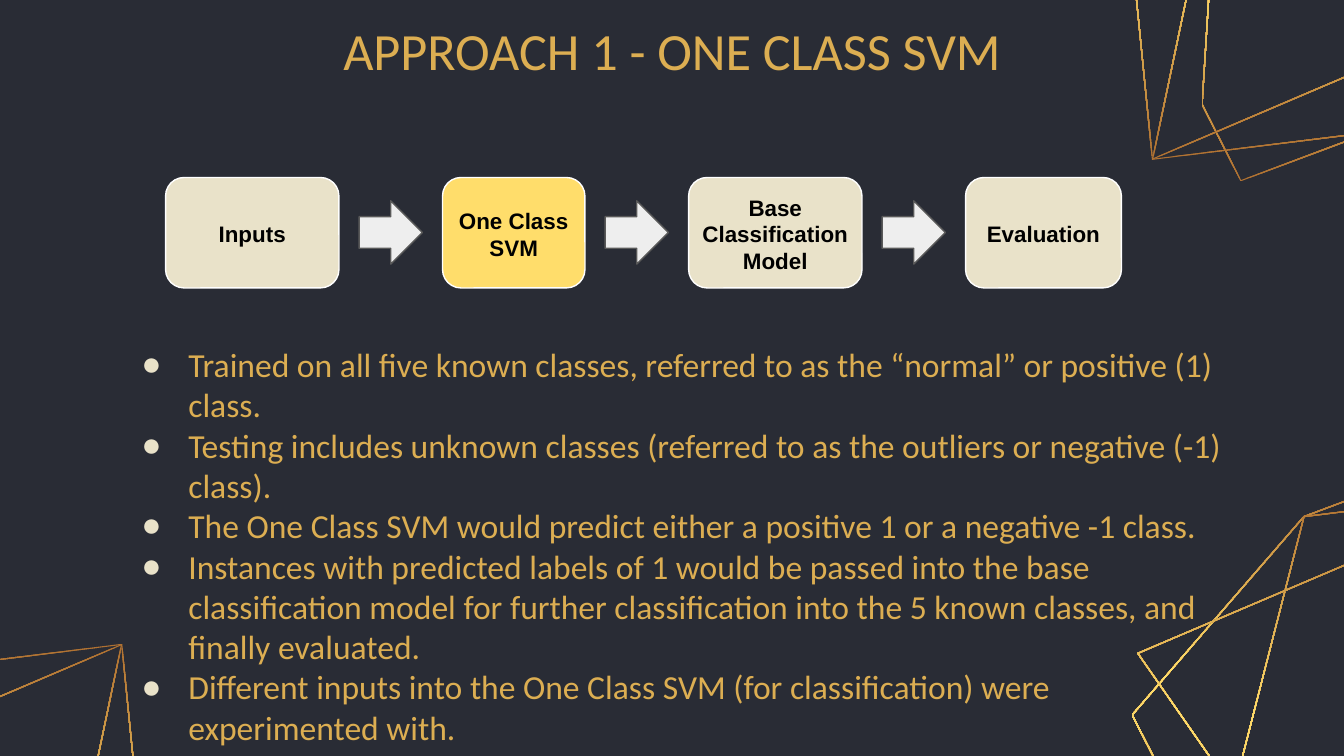
import copy
import math
from dataclasses import dataclass

import lxml.etree
import pptx
import pptx.dml.color
import pptx.enum.shapes
import pptx.enum.text
import pptx.oxml
import pptx.oxml.ns
import pptx.util

Pt = pptx.util.Pt
RGB = pptx.dml.color.RGBColor.from_string
qn = pptx.oxml.ns.qn
Shapes = pptx.enum.shapes.MSO_SHAPE
Align = pptx.enum.text.PP_ALIGN
Anchor = pptx.enum.text.MSO_ANCHOR
Point = tuple[float, float]


@dataclass(frozen=True)
class Theme:
    background: str = "292C35"
    gold: str = "DCAE52"
    yellow: str = "FFDD6B"
    bronze: str = "AF7132"
    cream: str = "E9E2C9"
    white: str = "FFFFFF"
    black: str = "000000"
    arrow: str = "EEEEEE"
    arrow_line: str = "595959"
    text_font: str = "Calibri"
    label_font: str = "Arial"
    title_size: float = 28
    body_size: float = 18
    label_size: float = 12
    line_width: float = 0.75
    facet_width: float = 0.6


@dataclass(frozen=True)
class Step:
    label: str
    width: float
    fill: str


@dataclass(frozen=True)
class Facet:
    corners: list[Point]


THEME = Theme()
INSET = 7.2


def inset_corners(corners: list[Point], distance: float) -> list[Point]:
    """Move every edge of a clockwise polygon inwards."""
    result = []
    for index, (x, y) in enumerate(corners):
        before = corners[index - 1]
        after = corners[(index + 1) % len(corners)]
        normals = []
        for (x1, y1), (x2, y2) in ((before, (x, y)), ((x, y), after)):
            length = math.hypot(x2 - x1, y2 - y1)
            normals.append(((y1 - y2) / length, (x2 - x1) / length))
        (ax, ay), (bx, by) = normals
        factor = distance / (1 + ax * bx + ay * by)
        result.append((x + (ax + bx) * factor, y + (ay + by) * factor))
    return result


def add_facet(slide, facet: Facet, dx: float = 0, dy: float = 0, turned: bool = False) -> None:
    """Draw a thin gradient ring, optionally turned about TURN_CENTER."""
    def emu(points: list[Point]) -> list[tuple[int, int]]:
        return [(Pt(x + dx), Pt(y + dy)) for x, y in points]

    outer = emu(facet.corners)
    inner = emu(inset_corners(facet.corners, THEME.facet_width))[::-1]
    builder = slide.shapes.build_freeform(*outer[0])
    builder.add_line_segments(outer[1:], close=True)
    builder.move_to(*inner[0])
    builder.add_line_segments(inner[1:], close=True)
    shape = builder.convert_to_shape()
    shape.shadow.inherit = False
    shape.line.fill.background()
    shape.fill.gradient()
    shape.fill.gradient_angle = 270
    stop_list = shape._element.spPr.find(".//" + qn("a:gsLst"))
    stop_list.append(copy.deepcopy(stop_list[0]))
    colors = (THEME.bronze, THEME.yellow, THEME.gold)
    for stop, color, position in zip(shape.fill.gradient_stops, colors, (0, 0.5, 1)):
        stop.color.rgb = RGB(color)
        stop.position = position
    if turned:
        shape.left = Pt(2 * TURN_CENTER[0]) - shape.left - shape.width
        shape.top = Pt(2 * TURN_CENTER[1]) - shape.top - shape.height
        shape.rotation = 180


def add_flow_shape(slide, kind, left: float, top: float, width: float, height: float,
                   fill: str, line: str):
    shape = slide.shapes.add_shape(kind, Pt(left), Pt(top), Pt(width), Pt(height))
    shape.shadow.inherit = False
    shape.fill.solid()
    shape.fill.fore_color.rgb = RGB(fill)
    shape.line.color.rgb = RGB(line)
    shape.line.width = Pt(THEME.line_width)
    return shape


def set_font(paragraph, name: str, size: float, color: str, bold: bool = False) -> None:
    paragraph.font.name = name
    paragraph.font.size = Pt(size)
    paragraph.font.bold = bold
    paragraph.font.color.rgb = RGB(color)


def set_frame(frame, anchor, side: float, top: float, bottom: float) -> None:
    frame.word_wrap = True
    frame.auto_size = pptx.enum.text.MSO_AUTO_SIZE.NONE
    frame.vertical_anchor = anchor
    frame.margin_left = frame.margin_right = Pt(side)
    frame.margin_top, frame.margin_bottom = Pt(top), Pt(bottom)


def place(shape, left: float, top: float, width: float, height: float) -> None:
    shape.left, shape.top = Pt(left), Pt(top)
    shape.width, shape.height = Pt(width), Pt(height)


def set_bullet(paragraph) -> None:
    """Add a hanging bullet; the paragraph font must be set already."""
    properties = paragraph._p.get_or_add_pPr()
    properties.set("marL", str(Pt(36)))
    properties.set("indent", str(-Pt(25.2)))
    color = lxml.etree.Element(qn("a:buClr"))
    lxml.etree.SubElement(color, qn("a:srgbClr")).set("val", THEME.cream)
    character = lxml.etree.Element(qn("a:buChar"))
    character.set("char", "●")
    run_defaults = properties.find(qn("a:defRPr"))
    for element in (color, character):
        run_defaults.addprevious(element)


# Crystal facets share their corners
LOW_LEFT, LOW_RIGHT, BOTTOM = (649.4, 467.6), (779.8, 429.8), (712, 497.8)
PEAK, FAR_RIGHT = (698.4, 276.5), (815, 262.1)
FACETS = [
    Facet([LOW_LEFT, (606.2, 383), PEAK, (767.5, 250.6), (788.4, 291.8), LOW_RIGHT]),
    Facet([BOTTOM, LOW_LEFT, PEAK, FAR_RIGHT, LOW_RIGHT]),
    Facet([BOTTOM, (609.1, 349.9), FAR_RIGHT, (824.4, 356.4)]),
]
TURN_CENTER = (716.04, 173.88)

STEPS = [
    Step("Inputs", 92.9, THEME.cream),
    Step("One Class SVM", 76.3, THEME.yellow),
    Step("Base Classification Model", 92.9, THEME.cream),
    Step("Evaluation", 83.5, THEME.cream),
]
FLOW_LEFT, FLOW_TOP, STEP_HEIGHT = 88.7, 95.1, 59.2
ARROW_SIZE, ARROW_GAP = 33.9, 10.8

BULLETS = [
    "Trained on all five known classes, referred to as the “normal” or positive (1) class.",
    "Testing includes unknown classes (referred to as the outliers or negative (-1) class).",
    "The One Class SVM would predict either a positive 1 or a negative -1 class.",
    "Instances with predicted labels of 1 would be passed into the base classification model "
    "for further classification into the 5 known classes, and finally evaluated.",
    "Different inputs into the One Class SVM (for classification) were experimented with.",
]

presentation = pptx.Presentation()
presentation.slide_width, presentation.slide_height = Pt(720), Pt(405)
slide = presentation.slides.add_slide(presentation.slide_layouts[1])
slide.background.fill.solid()
slide.background.fill.fore_color.rgb = RGB(THEME.background)

# Decoration in three corners, kept behind the text
for facet in FACETS:
    add_facet(slide, facet)
    add_facet(slide, facet, turned=True)
for facet in FACETS[1:]:
    add_facet(slide, facet, dx=-749.5, dy=82.8)
title, body = slide.placeholders
for placeholder in (title, body):
    slide.shapes._spTree.append(placeholder._element)

# Title
place(title, 157.2, 9.6, 405.4, 33.8)
set_frame(title.text_frame, Anchor.MIDDLE, INSET, INSET, INSET)
title.text_frame.text = "APPROACH 1 - ONE CLASS SVM"
heading = title.text_frame.paragraphs[0]
heading.alignment = Align.CENTER
set_font(heading, THEME.text_font, THEME.title_size, THEME.gold)

# Bullet list
place(body, 57.7, 155.5, 604.8, 245)
set_frame(body.text_frame, Anchor.TOP, INSET, 28.7, 0)
body.text_frame.text = "\n".join(BULLETS)
for paragraph in body.text_frame.paragraphs:
    paragraph.space_before = paragraph.space_after = Pt(0)
    paragraph.line_spacing = 1.0
    set_font(paragraph, THEME.text_font, THEME.body_size, THEME.gold)
    set_bullet(paragraph)

# Process flow
left = FLOW_LEFT
for index, step in enumerate(STEPS):
    if index:
        left += ARROW_GAP
        add_flow_shape(slide, Shapes.RIGHT_ARROW, left, FLOW_TOP + 12.5, ARROW_SIZE, ARROW_SIZE,
                       THEME.arrow, THEME.arrow_line)
        left += ARROW_SIZE + ARROW_GAP
    box = add_flow_shape(slide, Shapes.ROUNDED_RECTANGLE, left, FLOW_TOP, step.width, STEP_HEIGHT,
                         step.fill, THEME.white)
    set_frame(box.text_frame, Anchor.MIDDLE, 2, 1.4, 0)
    box.text_frame.text = step.label
    label = box.text_frame.paragraphs[0]
    label.alignment = Align.CENTER
    set_font(label, THEME.label_font, THEME.label_size, THEME.black, bold=True)
    left += step.width

presentation.save("out.pptx")
